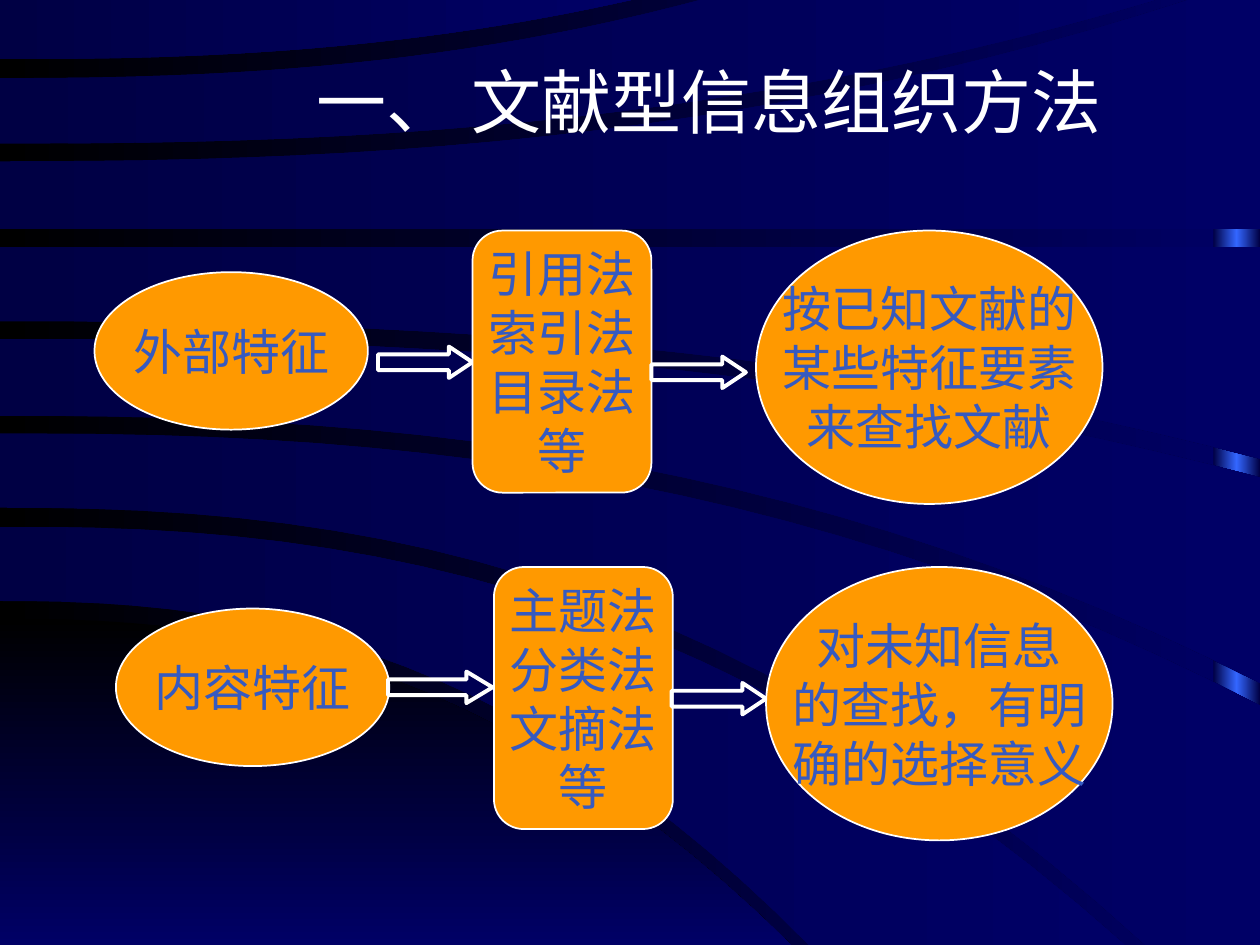
from copy import deepcopy

from pptx import Presentation
from pptx import util as u
from pptx.dml.color import RGBColor
from pptx.enum import shapes, text
from pptx.oxml.ns import qn

COLORS = {
    "black": "000000",
    "navy": "000066",
    "dusk": "000044",
    "glow": "3366FF",
    "orange": "FF9900",
    "label": "365AC0",
    "white": "FFFFFF",
}
BODY_FONT = "Times New Roman"
TITLE_FONT = "Noto Sans CJK SC"

# Each band lies between two edges: (height at the left, end x, end y)
LOWER_CORNER = ((4.91, 6.28, 7.5), (7.5, 6.28, 7.5))
BANDS = [
    ((4.18, 8.93, 7.5), (4.77, 6.42, 7.5)),
    ((3.44, 10, 5.6), (4.03, 9.09, 7.5)),
    ((2.69, 10, 3.79), (3.3, 10, 5.42)),
    ((1.96, 10, 1.96), (2.55, 10, 3.64)),
    ((1.28, 9.43, 0), (1.82, 10, 1.82)),
    ((0.62, 5.56, 0), (1.14, 9.17, 0)),
    ((0, 5.01, 0), (0.47, 5.01, 0)),
]
BEND = 2.4  # exponent of every edge curve
STEPS = 24


def rgb(name):
    return RGBColor.from_string(COLORS[name])


def set_gradient(fill, names, angle=0):
    """Two-stop gradient; python-pptx counts the angle counter-clockwise."""
    fill.gradient()
    fill.gradient_angle = angle
    for stop, name in zip(fill.gradient_stops, names):
        stop.color.rgb = rgb(name)


def edge_points(start_y, end_x, end_y):
    """Points of an edge that leaves the left side level and bends away."""
    shares = [step / STEPS for step in range(STEPS + 1)]
    return [(end_x * share, start_y + (end_y - start_y) * share ** BEND)
            for share in shares]


def add_band(slide, edges, names, angle=0):
    upper, lower = (edge_points(*edge) for edge in edges)
    nearer, farther = sorted([upper[-1], lower[-1]])
    corner = (farther[0], nearer[1])
    outline = upper + [corner] + lower[::-1]
    emu = [(u.Inches(x), u.Inches(y)) for x, y in outline]
    builder = slide.shapes.build_freeform(*emu[0])
    builder.add_line_segments(emu[1:], close=True)
    band = builder.convert_to_shape()
    band.shadow.inherit = False
    band.line.fill.background()
    set_gradient(band.fill, names, angle)


def add_glow_strip(slide):
    strip = slide.shapes.add_shape(
        shapes.MSO_SHAPE.RECTANGLE, u.Inches(9.63), 0, u.Inches(0.37), u.Inches(7.5))
    strip.shadow.inherit = False
    strip.line.fill.background()
    set_gradient(strip.fill, ["dusk", "dusk"])
    # A third stop puts the bright colour in the middle
    stop_list = next(strip._element.iter(qn("a:gsLst")))
    stop_list.insert(1, deepcopy(stop_list[0]))
    middle = strip.fill.gradient_stops[1]
    middle.position = 0.5
    middle.color.rgb = rgb("glow")


def format_text(frame, size, font_name, color):
    frame.vertical_anchor = text.MSO_ANCHOR.MIDDLE
    for paragraph in frame.paragraphs:
        paragraph.alignment = text.PP_ALIGN.CENTER
        for run in paragraph.runs:
            run.font.size = u.Pt(size)
            run.font.name = font_name
            run.font.color.rgb = rgb(color)


def add_title(slide, wording):
    title = slide.shapes.title
    title.left, title.top = u.Inches(2), u.Inches(0.42)
    title.width, title.height = u.Inches(7.25), u.Inches(0.75)
    title.text_frame.text = wording
    format_text(title.text_frame, 40, TITLE_FONT, "white")
    # Lift the title above the background bands
    slide.shapes._spTree.append(title._element)


def add_node(slide, preset, left, top, width, height, wording):
    node = slide.shapes.add_shape(
        preset, u.Inches(left), u.Inches(top), u.Inches(width), u.Inches(height))
    node.shadow.inherit = False
    node.fill.solid()
    node.fill.fore_color.rgb = rgb("orange")
    node.line.color.rgb = rgb("white")
    node.line.width = u.Pt(1)
    node.text_frame.text = wording
    node.text_frame.word_wrap = False
    format_text(node.text_frame, 28, BODY_FONT, "label")


def add_arrow(slide, left, top, length):
    arrow = slide.shapes.add_shape(
        shapes.MSO_SHAPE.RIGHT_ARROW,
        u.Inches(left), u.Inches(top), u.Inches(length), u.Inches(0.25))
    arrow.adjustments[1] = length  # the head is a quarter of the length
    arrow.shadow.inherit = False
    arrow.fill.background()
    arrow.line.color.rgb = rgb("white")
    arrow.line.width = u.Pt(2.25)


def add_chain(slide, top, feature, first_arrow, methods, second_arrow, purpose):
    """One row: feature -> methods -> purpose, each given as (left, wording)."""
    oval = shapes.MSO_SHAPE.OVAL
    box = shapes.MSO_SHAPE.ROUNDED_RECTANGLE
    add_node(slide, oval, feature[0], top + 0.33, 2.17, 1.25, feature[1])
    add_arrow(slide, *first_arrow)
    add_node(slide, box, methods[0], top, 1.42, 2.08, methods[1])
    add_arrow(slide, *second_arrow)
    add_node(slide, oval, purpose[0], top, 2.75, 2.17, purpose[1])


def main():
    deck = Presentation()
    deck.slide_width, deck.slide_height = u.Inches(10), u.Inches(7.5)
    slide = deck.slides.add_slide(deck.slide_layouts[5])

    # Background
    set_gradient(slide.background.fill, ["black", "navy"])
    add_glow_strip(slide)
    add_band(slide, LOWER_CORNER, ["black", "navy"], angle=270)
    for edges in BANDS:
        add_band(slide, edges, ["dusk", "navy"])

    add_title(slide, "一、 文献型信息组织方法")

    # External features
    add_chain(slide, 1.83, (0.75, "外部特征"), (3, 2.75, 0.75),
              (3.75, "引用法\n索引法\n目录法\n等"), (5.17, 2.83, 0.75),
              (6, "按已知文献的\n某些特征要素\n来查找文献"))
    # Content features
    add_chain(slide, 4.5, (0.92, "内容特征"), (3.08, 5.33, 0.83),
              (3.92, "主题法\n分类法\n文摘法\n等"), (5.33, 5.42, 0.75),
              (6.08, "对未知信息\n的查找，有明\n确的选择意义"))

    deck.save("out.pptx")


if __name__ == "__main__":
    main()
